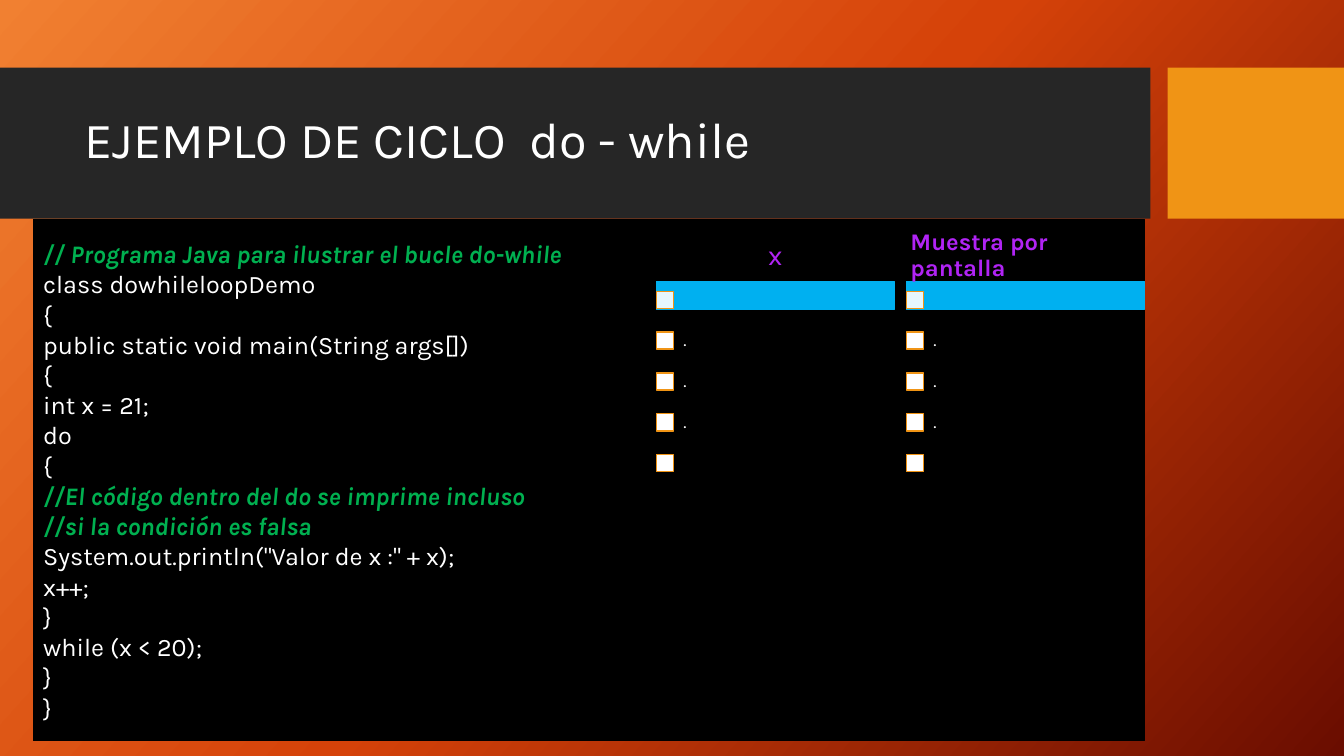
"""Build the do-while loop example slide."""
from copy import deepcopy

from lxml import etree
from pptx import Presentation
from pptx.dml.color import RGBColor
from pptx.enum.shapes import MSO_SHAPE
from pptx.enum.text import MSO_ANCHOR, MSO_AUTO_SIZE, PP_ALIGN
from pptx.oxml.ns import qn
from pptx.util import Inches, Pt

RECTANGLE = MSO_SHAPE.RECTANGLE
MIDDLE = MSO_ANCHOR.MIDDLE
NO_AUTOFIT = MSO_AUTO_SIZE.NONE
LEFT, CENTER = PP_ALIGN.LEFT, PP_ALIGN.CENTER

FONT = "Karla"
WHITE, BLACK, GREEN, PURPLE = "FFFFFF", "000000", "00B050", "B124F5"
ORANGE, BLUE, CHARCOAL = "F09415", "00B0F0", "262626"
BACKDROP = [(0, "F18031"), (0.5, "D54209"), (1, "6A0D00")]
BACKDROP_ANGLE = 42

TITLE = "EJEMPLO DE CICLO  do - while"
CODE = [
    "// Programa Java para ilustrar el bucle do-while",
    "class dowhileloopDemo",
    "{",
    "public static void main(String args[])",
    "{",
    "int x = 21;",
    "do",
    "{",
    "//El código dentro del do se imprime incluso",
    "//si la condición es falsa",
    'System.out.println("Valor de x :" + x);',
    "x++;",
    "}",
    "while (x < 20);",
    "}",
    "}",
]
TRACE_COLUMNS = [
    {"left": 6.51, "heading": "x", "size": 20, "bold": False, "align": CENTER},
    {"left": 8.99, "heading": "Muestra por pantalla", "size": 17, "bold": True, "align": LEFT},
]
TRACE_ROWS = ["", ".", ".", ".", ""]

COLUMN_WIDTH = 2.36
MARKER = 0.17
FIRST_MARKER, LAST_MARKER = 2.89, 4.51
ROW_PITCH = (LAST_MARKER - FIRST_MARKER) / (len(TRACE_ROWS) - 1)
ROW_HEIGHT = 0.4


def rgb(value):
    """Turn a hex string into a colour."""
    return RGBColor.from_string(value)


def paint_backdrop(slide):
    """Fill the background with the three-stop gradient."""
    fill = slide.background.fill
    fill.gradient()
    fill.gradient_angle = 360 - BACKDROP_ANGLE
    stop_list = slide.background._cSld.find(".//" + qn("a:gsLst"))
    stop_list.append(deepcopy(stop_list[-1]))
    for stop, (position, color) in zip(fill.gradient_stops, BACKDROP):
        stop.position = position
        stop.color.rgb = rgb(color)


def add_block(slide, box, fill, line=None, opacity=None):
    """Add a flat rectangle."""
    block = slide.shapes.add_shape(RECTANGLE, *map(Inches, box))
    block.shadow.inherit = False
    block.fill.solid()
    block.fill.fore_color.rgb = rgb(fill)
    if opacity is not None:
        color = block._element.spPr.find(qn("a:solidFill"))[0]
        etree.SubElement(color, qn("a:alpha"), val=str(opacity * 1000))
    if line:
        block.line.color.rgb = rgb(line)
        block.line.width = Pt(1)
    else:
        block.line.fill.background()
    return block


def write(paragraph, text, size, color, bold=False, italic=False, align=LEFT, spacing=0.9):
    """Write one run into a paragraph."""
    paragraph.alignment = align
    paragraph.line_spacing = spacing
    run = paragraph.add_run()
    run.text = text
    font = run.font
    font.name, font.size, font.bold, font.italic = FONT, Pt(size), bold, italic
    font.color.rgb = rgb(color)


def add_label(slide, box, insets, text, **style):
    """Add a vertically centred text box with one line of content."""
    frame = slide.shapes.add_textbox(*map(Inches, box)).text_frame
    frame.word_wrap = True
    frame.vertical_anchor = MIDDLE
    frame.margin_left = frame.margin_right = Inches(insets[0])
    frame.margin_top = frame.margin_bottom = Inches(insets[1])
    write(frame.paragraphs[0], text, **style)


def add_title(slide):
    """Place the title over its dark band."""
    add_block(slide, (0, 0.67, 11.41, 1.5), CHARCOAL)
    add_block(slide, (11.58, 0.67, 1.75, 1.5), ORANGE)
    title = slide.shapes.title
    slide.shapes._spTree.append(title._element)
    title.left, title.top, title.width, title.height = map(Inches, (0.74, 0.82, 10.51, 1.18))
    frame = title.text_frame
    frame.word_wrap = True
    frame.auto_size = NO_AUTOFIT
    frame.vertical_anchor = MIDDLE
    write(frame.paragraphs[0], TITLE, 36, WHITE)


def add_code(slide):
    """Add the black panel with the program listing."""
    frame = add_block(slide, (0.33, 2.18, 11.02, 5.17), BLACK, BLACK).text_frame
    frame.word_wrap = True
    frame.vertical_anchor = MIDDLE
    for number, code_line in enumerate(CODE):
        paragraph = frame.add_paragraph() if number else frame.paragraphs[0]
        comment = code_line.startswith("//")
        write(paragraph, code_line, 18, GREEN if comment else WHITE, comment, comment, spacing=1.0)


def add_trace_column(slide, left, heading, **heading_style):
    """Add one column of the trace: heading, bar and marked rows."""
    add_block(slide, (left, 2.79, COLUMN_WIDTH, 0.28), BLUE, BLUE)
    add_label(slide, (left, 2.29, COLUMN_WIDTH, 0.5), (0.04, 0.02), heading,
              color=PURPLE, **heading_style)
    for row, value in enumerate(TRACE_ROWS):
        top = FIRST_MARKER + row * ROW_PITCH
        add_block(slide, (left, top, MARKER, MARKER), WHITE, ORANGE, None if row else 90)
        if value:
            value_top = top + (MARKER - ROW_HEIGHT) / 2
            add_label(slide, (left + MARKER, value_top, COLUMN_WIDTH - MARKER, ROW_HEIGHT),
                      (0.1, 0.1), value, size=13, color=WHITE)


def main():
    """Assemble and save the slide."""
    deck = Presentation()
    deck.slide_width, deck.slide_height = Inches(13.33), Inches(7.5)
    slide = deck.slides.add_slide(deck.slide_layouts[5])
    paint_backdrop(slide)
    add_title(slide)
    add_code(slide)
    for column in TRACE_COLUMNS:
        add_trace_column(slide, **column)
    deck.save("out.pptx")


if __name__ == "__main__":
    main()
